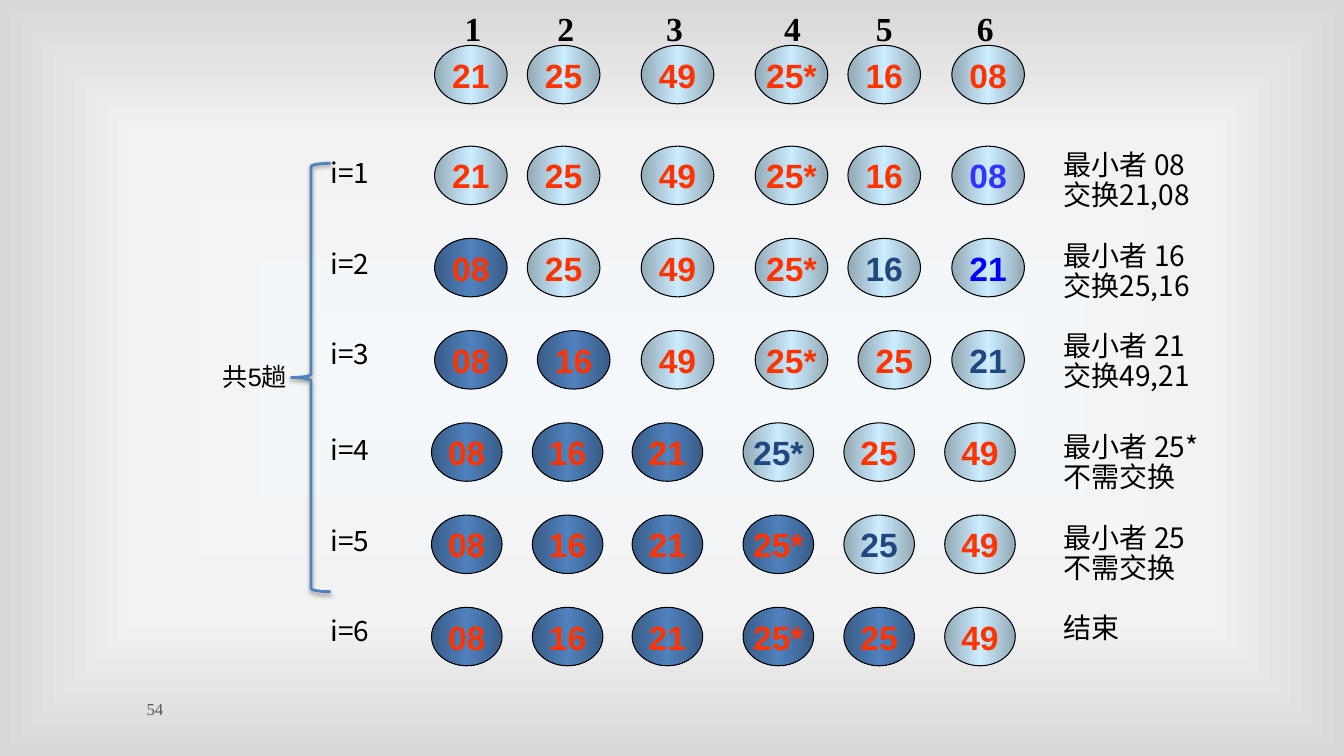
import copy

import pptx
import pptx.dml.color
import pptx.enum.shapes
import pptx.enum.text
import pptx.oxml
import pptx.oxml.ns
import pptx.util

Inches = pptx.util.Inches
Pt = pptx.util.Pt
qn = pptx.oxml.ns.qn
rgb = pptx.dml.color.RGBColor.from_string
ALIGN = pptx.enum.text.PP_ALIGN
SHAPE = pptx.enum.shapes.MSO_SHAPE
DRAWING_NS = pptx.oxml.ns.nsdecls("a")

CJK = "Noto Sans CJK SC"
NOTE = {"name": CJK, "size": Pt(20)}
NUMBER = {"name": "Arial", "size": Pt(24), "bold": True}
HEADING = {"name": "Times New Roman", "size": Pt(24), "bold": True}
PAGE = {"name": "Times New Roman", "size": Pt(12)}
CAPTION = {"name": "Arial", "size": Pt(18)}


def apply_gradient(fill, owner, stops):
    """Fill with three (position, colour) stops."""
    fill.gradient()
    stop_list = owner.find(".//" + qn("a:gsLst"))
    stop_list.append(copy.deepcopy(stop_list[0]))
    for stop, (position, color) in zip(fill.gradient_stops, stops):
        stop.position = position
        stop.color.rgb = rgb(color)


def write(shape, lines, style, color="000000", align=ALIGN.LEFT, spacing=None, wrap=False):
    """Put lines of text into a shape, one paragraph each."""
    frame = shape.text_frame
    frame.word_wrap = wrap
    frame.text = "\n".join(lines)
    for paragraph in frame.paragraphs:
        paragraph.alignment = align
        paragraph.line_spacing = spacing
        for run in paragraph.runs:
            for attribute, value in style.items():
                setattr(run.font, attribute, value)
            run.font.color.rgb = rgb(color)
            east_asian = pptx.oxml.parse_xml(f'<a:ea {DRAWING_NS} typeface="{CJK}"/>')
            run.font._element.find(qn("a:latin")).addnext(east_asian)
    return frame


deck = pptx.Presentation()
deck.slide_width, deck.slide_height = Inches(13.33), Inches(7.5)
slide = deck.slides.add_slide(deck.slide_layouts[6])
shapes = slide.shapes

# Background: rectangular gradient from the centre
apply_gradient(slide.background.fill, slide._element,
               [(0, "F4F8FB"), (0.63, "F2F2F2"), (1, "D8D8D8")])
linear = slide._element.find(".//" + qn("a:lin"))
linear.getparent().replace(linear, pptx.oxml.parse_xml(
    f'<a:path {DRAWING_NS} path="rect">'
    '<a:fillToRect l="50000" t="50000" r="50000" b="50000"/></a:path>'))

# Page number
page_number = shapes.add_textbox(Inches(1.03), Inches(6.93), Inches(0.59), Inches(0.31))
page_frame = write(page_number, ["54"], PAGE, "595959", ALIGN.RIGHT, wrap=True)
for side in ("left", "top", "right", "bottom"):
    setattr(page_frame, f"margin_{side}", 0)

# Position headings, set on tab stops
headings = shapes.add_textbox(Inches(4.51), Inches(0.03), Inches(7.04), Inches(0.5))
heading_frame = write(headings, ["\t".join("123456")], HEADING, wrap=True)
tabs = "".join(f'<a:tab pos="{Inches(stop)}" algn="l"/>' for stop in (0.92, 2, 3.17, 4.08, 5.08))
heading_frame.paragraphs[0]._p.get_or_add_pPr().append(
    pptx.oxml.parse_xml(f"<a:tabLst {DRAWING_NS}>{tabs}</a:tabLst>"))

# Number lists: values, sorted count, highlighted index, highlight colour, note
UNSORTED, SORTED = ("92A9B6", "CCECFF"), ("395C87", "4F81BD")
passes = [
    ("21 25 49 25* 16 08", 0, None, None, []),
    ("21 25 49 25* 16 08", 0, 5, "3333FF", ["最小者 08", "交换21,08"]),
    ("08 25 49 25* 16 21", 1, 4, "1F497D", ["最小者 16", "交换25,16"]),
    ("08 16 49 25* 25 21", 2, 5, "1F497D", ["最小者 21", "交换49,21"]),
    ("08 16 21 25* 25 49", 3, 3, "1F497D", ["最小者 25*", "不需交换"]),
    ("08 16 21 25* 25 49", 4, 4, "1F497D", ["最小者 25", "不需交换"]),
    ("08 16 21 25* 25 49", 5, None, None, ["结束"]),
]
early_columns = [4.31, 5.23, 6.36, 7.49, 8.41, 9.44]
third_columns = [4.31, 5.33, 6.36, 7.49, 8.51, 9.44]
late_columns = [4.28, 5.28, 6.27, 7.37, 8.37, 9.37]

for i, (values, sorted_count, marked, mark_color, note) in enumerate(passes):
    columns = late_columns if i > 3 else third_columns if i == 3 else early_columns
    width = 0.7 if i > 3 else 0.72
    top = 1.45 + 0.915 * (i - 1) if i else 0.45
    for index, (left, value) in enumerate(zip(columns, values.split())):
        color = mark_color if index == marked else "FF3300"
        if i == 2 and index == 5:
            color = "0000FF"  # the value just swapped in
        edge, middle = SORTED if index < sorted_count else UNSORTED
        number = shapes.add_shape(SHAPE.OVAL, Inches(left), Inches(top),
                                  Inches(width), Inches(0.58))
        number.shadow.inherit = False
        apply_gradient(number.fill, number._element, [(0, edge), (0.5, middle), (1, edge)])
        number.fill.gradient_angle = 0
        number.line.color.rgb = rgb("000000")
        number.line.width = Pt(0.75)
        write(number, [value], NUMBER, color, ALIGN.CENTER)

    # Pass label and note, in an upper and a lower block
    if i:
        step = 0.9 * ((i - 1) % 3)
        label_top, note_top = (4.28, 4.25) if i > 3 else (1.53, 1.45)
        label = shapes.add_textbox(Inches(3.18), Inches(label_top + step),
                                   Inches(0.76), Inches(0.4))
        write(label, [f"i={i}"], NOTE, spacing=0.9, wrap=True)
        remark = shapes.add_textbox(Inches(10.45), Inches(note_top + step),
                                    Inches(1.79), Inches(0.1 + 0.3 * len(note)))
        write(remark, note, NOTE, spacing=0.9)

# Brace over the five passes
brace = shapes.add_shape(SHAPE.LEFT_BRACE, Inches(2.89), Inches(1.62), Inches(0.39), Inches(4.25))
brace.fill.background()
brace.line.color.rgb = rgb("4F81BD")
brace.line.width = Pt(2)
brace._element.spPr.append(pptx.oxml.parse_xml(
    f'<a:effectLst {DRAWING_NS}><a:outerShdw blurRad="{Pt(3.1)}" dist="{Pt(1.6)}" '
    'dir="5400000" rotWithShape="0"><a:srgbClr val="000000"><a:alpha val="38000"/>'
    '</a:srgbClr></a:outerShdw></a:effectLst>'))

caption = shapes.add_textbox(Inches(2.11), Inches(3.57), Inches(1), Inches(1))
write(caption, ["共5趟"], CAPTION, spacing=0.9)

deck.save("out.pptx")
